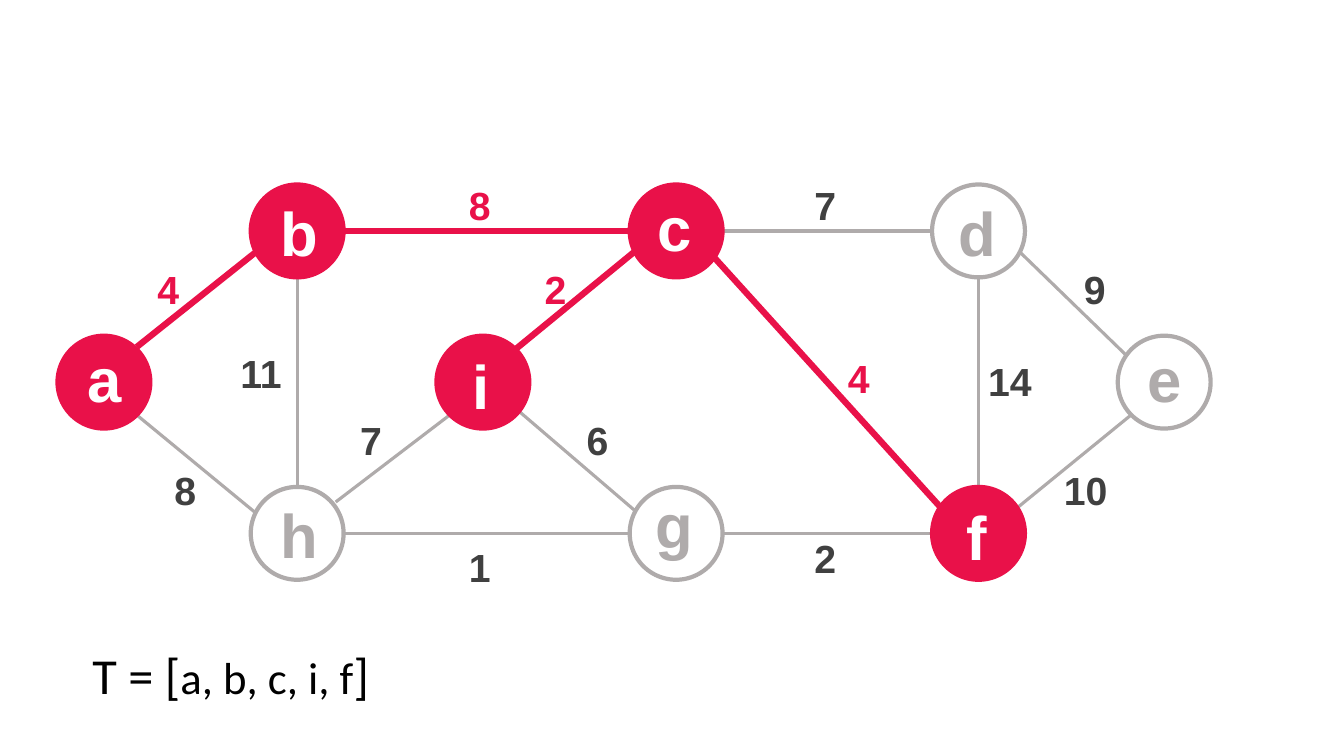
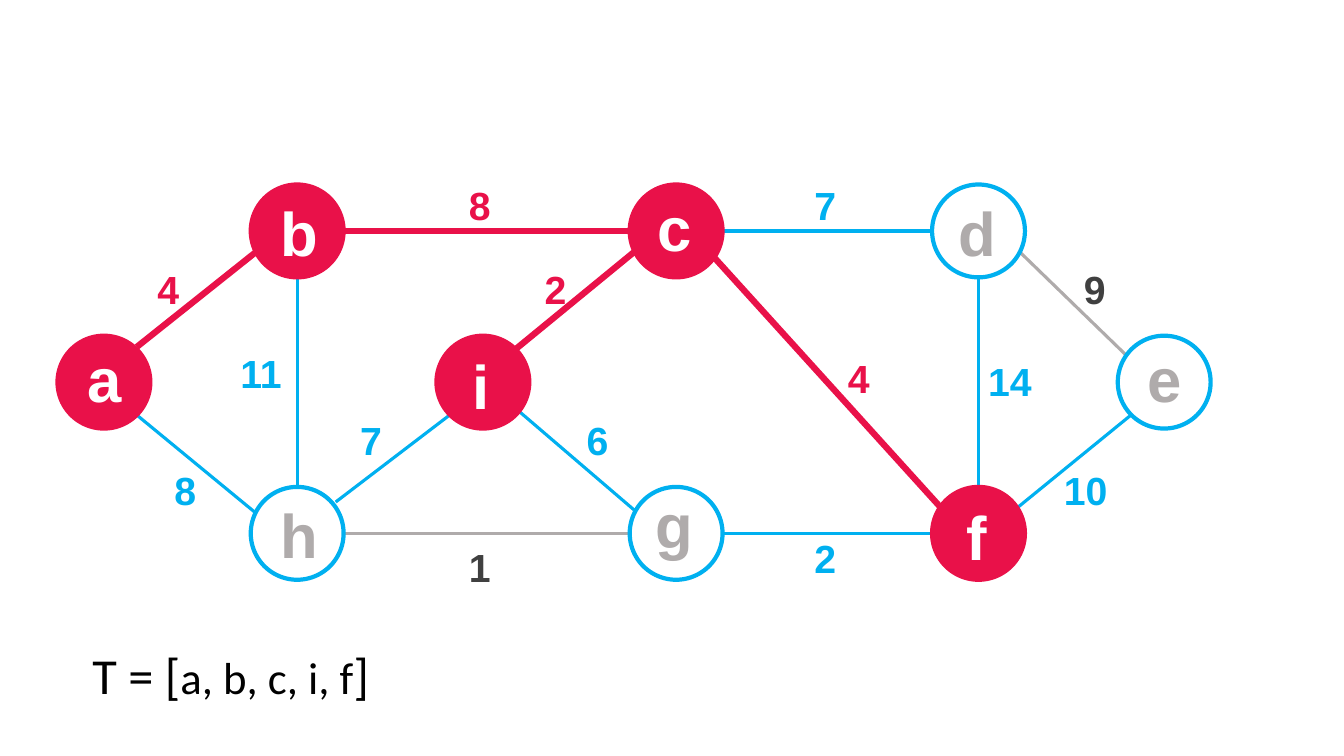
from dataclasses import dataclass
from typing import Optional

from lxml import etree
from pptx import Presentation
from pptx.dml.color import RGBColor
from pptx.enum.shapes import MSO_CONNECTOR, MSO_SHAPE
from pptx.enum.text import MSO_AUTO_SIZE, PP_ALIGN
from pptx.oxml.ns import qn
from pptx.util import Cm, Pt

ELLIPSE = MSO_SHAPE.OVAL
STRAIGHT = MSO_CONNECTOR.STRAIGHT
GROW = MSO_AUTO_SIZE.SHAPE_TO_FIT_TEXT
LEFT, CENTER = PP_ALIGN.LEFT, PP_ALIGN.CENTER


@dataclass(frozen=True)
class Theme:
    tree: RGBColor = RGBColor(0xE9, 0x11, 0x49)
    crossing: RGBColor = RGBColor(0x00, 0xB0, 0xF0)
    idle: RGBColor = RGBColor(0xAF, 0xAB, 0xAB)
    weight: RGBColor = RGBColor(0x40, 0x40, 0x40)
    white: RGBColor = RGBColor(0xFF, 0xFF, 0xFF)
    black: RGBColor = RGBColor(0x00, 0x00, 0x00)
    graph_font: str = "Arial"
    caption_font: str = "Calibri"
    node_size: int = 44
    weight_size: int = 28
    bracket_size: int = 36
    list_size: int = 32
    rim_width: float = 3
    tree_width: float = 4.5
    edge_width: float = 2.25


@dataclass(frozen=True)
class Node:
    center: tuple
    letter_offset: tuple  # from the circle's top left corner


@dataclass(frozen=True)
class Edge:
    nodes: str
    weight: int
    label: tuple  # top left corner of the weight's box
    ends: Optional[tuple] = None  # only for slanted edges


THEME = Theme()

# Graph geometry, in centimetres
DIAMETER = 2.34
RADIUS = DIAMETER / 2
TOP, MIDDLE, BOTTOM = (5.82 + 3.81 * row for row in range(3))

NODES = {
    "h": Node((7.49, BOTTOM), (0.51, 0.13)),
    "d": Node((24.66, TOP), (0.41, 0.13)),
    "e": Node((29.34, MIDDLE), (0.51, 0)),
    "g": Node((17.04, BOTTOM), (0.41, -0.13)),
    "b": Node((7.49, TOP), (0.51, 0.13)),
    "c": Node((17.04, TOP), (0.46, 0)),
    "f": Node((24.66, BOTTOM), (0.61, 0.18)),
    "i": Node((12.17, MIDDLE), (0.66, 0.18)),
    "a": Node((2.62, MIDDLE), (0.51, 0)),
}

EDGES = [
    Edge("ab", 4, (3.35, 6.55), (3.45, 8.74, 6.45, 6.35)),
    Edge("ah", 8, (3.78, 11.63), (3.45, 10.46, 6.45, 12.93)),
    Edge("bh", 11, (5.69, 8.69)),
    Edge("bc", 8, (11.2, 4.45)),
    Edge("hg", 1, (11.2, 13.56)),
    Edge("hi", 7, (8.46, 10.36), (8.46, 12.65, 11.33, 10.46)),
    Edge("ig", 6, (14.17, 10.36), (13.11, 10.39, 15.98, 12.85)),
    Edge("ic", 2, (13.11, 6.55), (12.98, 8.81, 15.98, 6.35)),
    Edge("cf", 4, (20.75, 8.81), (18.01, 6.5, 23.7, 12.78)),
    Edge("df", 14, (24.56, 8.89)),
    Edge("cd", 7, (19.91, 4.45)),
    Edge("gf", 2, (19.91, 13.34)),
    Edge("de", 9, (26.7, 6.55), (25.7, 6.35, 28.37, 8.94)),
    Edge("fe", 10, (26.47, 11.63), (25.63, 12.8, 28.5, 10.46)),
]


def add_text(slide, box, runs, font, color, bold=False, align=LEFT, wrap=True):
    """Add one paragraph; runs is a list of (text, size) pairs."""
    shape = slide.shapes.add_textbox(*(Cm(length) for length in box))
    text_frame = shape.text_frame
    text_frame.word_wrap = wrap
    text_frame.auto_size = GROW
    paragraph = text_frame.paragraphs[0]
    paragraph.alignment = align
    for text, size in runs:
        run = paragraph.add_run()
        run.text = text
        run.font.name = font
        run.font.size = Pt(size)
        run.font.bold = bold
        run.font.color.rgb = color


def edge_ends(edge):
    """Return the given ends, or those on the rims of two aligned nodes."""
    if edge.ends:
        return edge.ends
    (x1, y1), (x2, y2) = (NODES[name].center for name in edge.nodes)
    if y1 == y2:
        return x1 + RADIUS, y1, x2 - RADIUS, y2
    return x1, y1 + RADIUS, x2, y2 - RADIUS


def add_edge(slide, edge, line_color, width, text_color):
    ends = (Cm(length) for length in edge_ends(edge))
    connector = slide.shapes.add_connector(STRAIGHT, *ends)
    connector.line.color.rgb = line_color
    connector.line.width = Pt(width)
    etree.SubElement(connector._element.spPr, qn("a:effectLst"))
    add_text(slide, (*edge.label, 1.78, 1.45),
             [(str(edge.weight), THEME.weight_size)],
             THEME.graph_font, text_color, bold=True, align=CENTER)


def add_node(slide, name, rim_color, in_tree):
    node = NODES[name]
    left, top = (length - RADIUS for length in node.center)
    circle = slide.shapes.add_shape(
        ELLIPSE, Cm(left), Cm(top), Cm(DIAMETER), Cm(DIAMETER))
    circle.shadow.inherit = False
    circle.line.color.rgb = rim_color
    circle.line.width = Pt(THEME.rim_width)
    if in_tree:
        circle.fill.solid()
        circle.fill.fore_color.rgb = THEME.tree
    else:
        circle.fill.background()
    dx, dy = node.letter_offset
    add_text(slide, (left + dx, top + dy, 1.27, 2.11),
             [(name, THEME.node_size)], THEME.graph_font,
             THEME.white if in_tree else THEME.idle, bold=True)


def add_graph(slide, tree, show_crossing):
    # Edges are coloured by how many of their nodes are in the tree
    for edge in EDGES:
        reached = sum(name in tree for name in edge.nodes)
        if reached == 2:
            style = THEME.tree, THEME.tree_width, THEME.tree
        elif reached == 1 and show_crossing:
            style = THEME.crossing, THEME.edge_width, THEME.crossing
        else:
            style = THEME.idle, THEME.edge_width, THEME.weight
        add_edge(slide, edge, *style)

    # Nodes lie over the ends of the edges
    outside_rim = THEME.crossing if show_crossing else THEME.idle
    for name in NODES:
        in_tree = name in tree
        add_node(slide, name, THEME.tree if in_tree else outside_rim, in_tree)


def add_tree_caption(slide, tree):
    runs = [("T = [", THEME.bracket_size),
            (", ".join(tree), THEME.list_size),
            ("]", THEME.bracket_size)]
    add_text(slide, (2.08, 16.1, 9.5, 1.85), runs,
             THEME.caption_font, THEME.black, wrap=False)


def main():
    presentation = Presentation()
    presentation.slide_width = Cm(33.87)
    presentation.slide_height = Cm(19.05)
    blank = presentation.slide_layouts[6]
    tree = "abcif"
    # The second slide highlights the edges that leave the tree
    for show_crossing in (False, True):
        slide = presentation.slides.add_slide(blank)
        add_graph(slide, tree, show_crossing)
        add_tree_caption(slide, tree)
    presentation.save("out.pptx")


if __name__ == "__main__":
    main()
